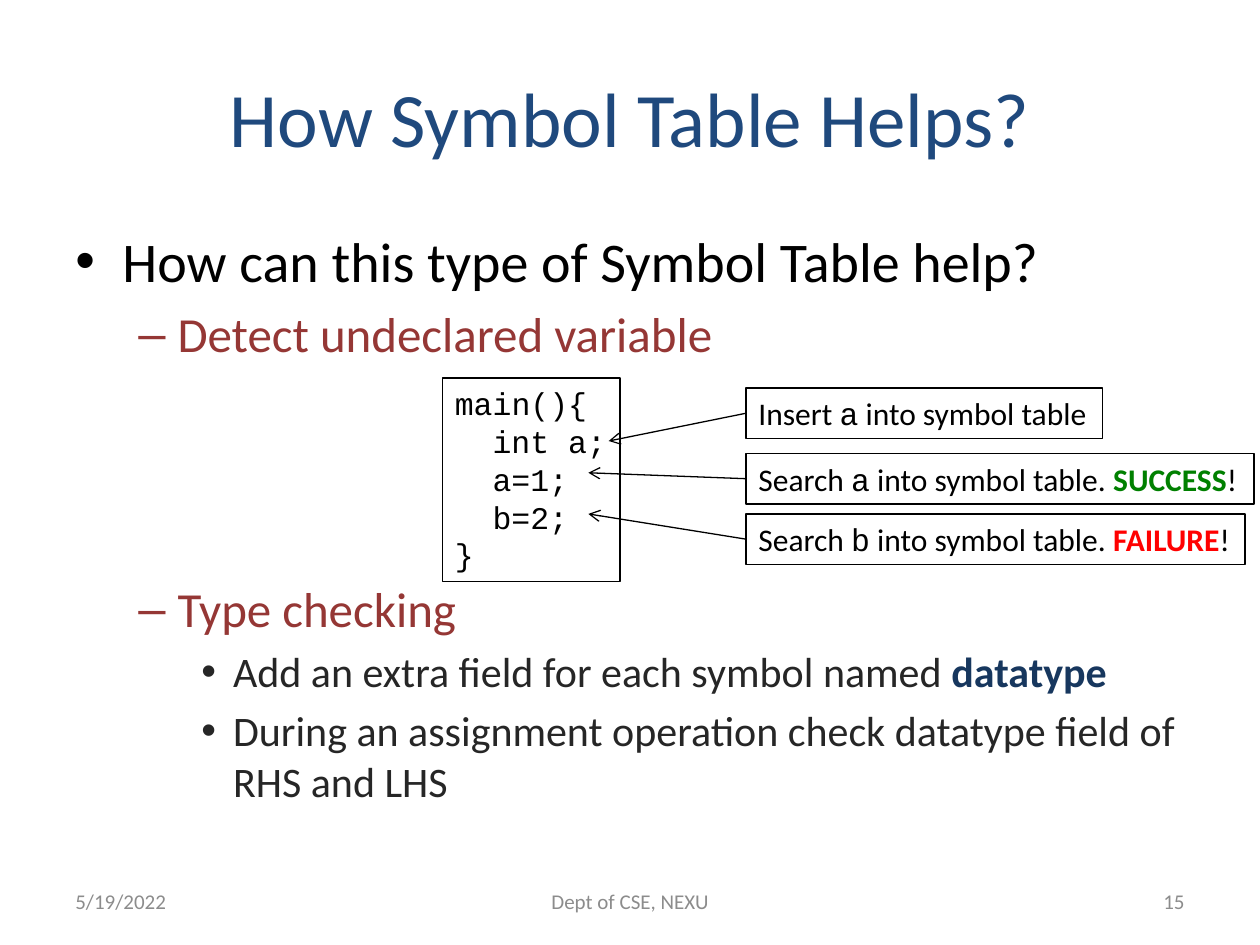
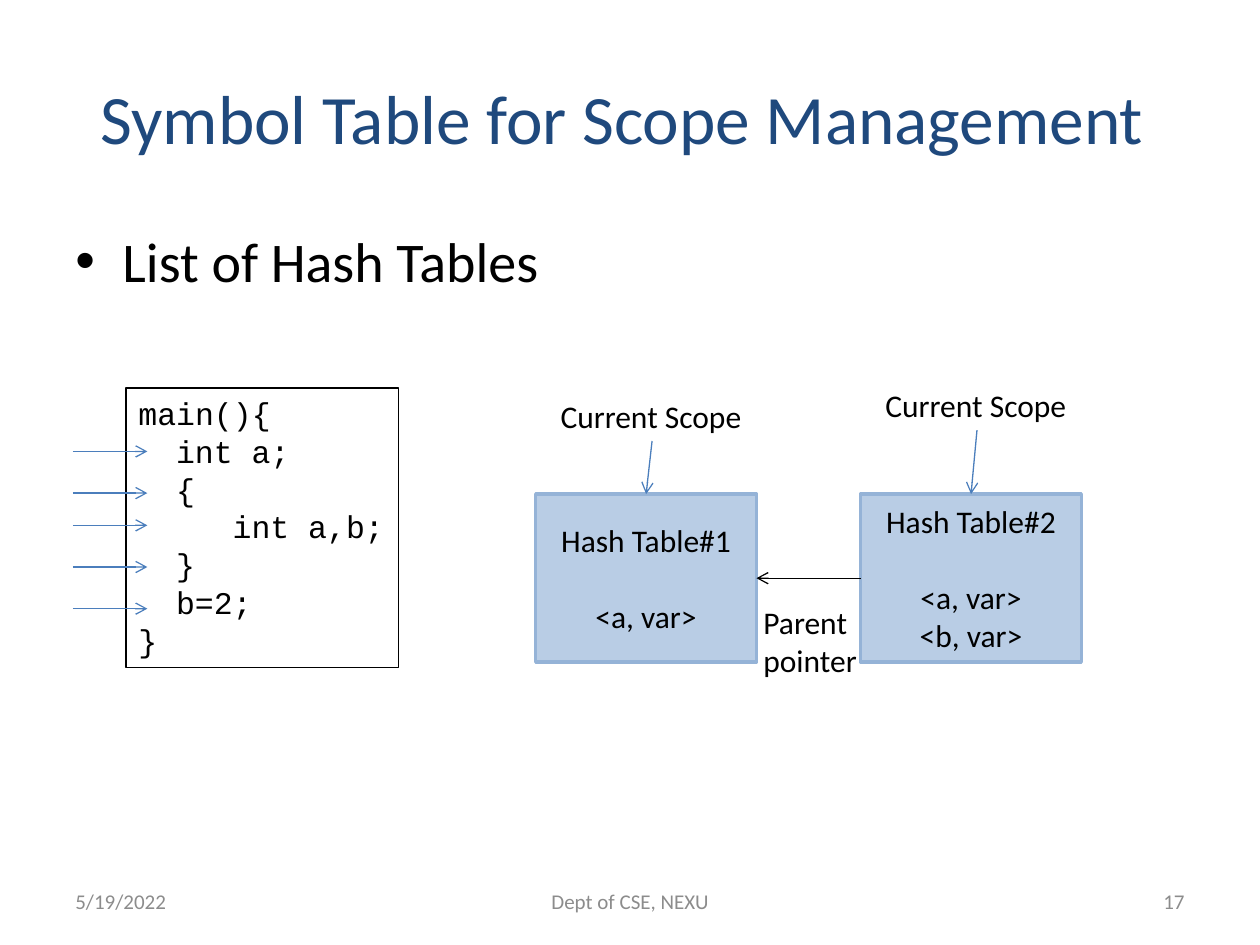
"""Builds two lecture slides on symbol tables and scope management."""
from dataclasses import dataclass, field

from lxml import etree
from pptx import Presentation
from pptx.dml.color import RGBColor
from pptx.enum.shapes import MSO_CONNECTOR, MSO_SHAPE
from pptx.enum.text import MSO_ANCHOR, PP_ALIGN
from pptx.oxml.ns import qn
from pptx.util import Cm, Pt

RECTANGLE = MSO_SHAPE.RECTANGLE
STRAIGHT = MSO_CONNECTOR.STRAIGHT
LEFT, CENTER, RIGHT = PP_ALIGN.LEFT, PP_ALIGN.CENTER, PP_ALIGN.RIGHT
TOP, MIDDLE = MSO_ANCHOR.TOP, MSO_ANCHOR.MIDDLE


def style(size, color, name="Calibri", bold=False):
    return {"size": Pt(size), "color": color, "name": name, "bold": bold}


@dataclass(frozen=True)
class Theme:
    black: str = "000000"
    arrow_blue: str = "4B7EBC"
    table_fill: str = "B9CDE5"
    table_line: str = "95B3D7"
    thin: float = 0.75
    thick: float = 2
    styles: dict = field(default_factory=lambda: {
        "title": style(44, "1F497D"),
        "long title": style(39.6, "1F497D"),
        "footer": style(12, "8C8C8C"),
        "point": style(32, "000000"),
        "subpoint": style(28, "953735"),
        "detail": style(24, "262626"),
        "keyword": style(24, "17375E", bold=True),
        "label": style(18, "000000"),
        "code": style(18, "000000", "Courier New"),
        "success": style(18, "008000", bold=True),
        "failure": style(18, "FF0000", bold=True),
    })


THEME = Theme()

BULLETS = {
    "point": {"bullet": "•", "margin": 0.95, "hanging": 0.95, "before": 6.4},
    "subpoint": {"bullet": "–", "margin": 2.06, "hanging": 0.79, "before": 5.5},
    "detail": {"bullet": "•", "margin": 3.18, "hanging": 0.64, "before": 4.8},
}
CODE_COLUMN = 0.38
LABEL_LINE = 22
DIAGRAM_GAP = 123.5

TITLE_BOX = (1.27, 0.76, 22.86, 3.18)
BODY_BOX = (1.27, 4.45, 22.86, 12.57)
FOOTER_TOP, FOOTER_HEIGHT = 17.65, 1.02
DATE, DEPARTMENT = "5/19/2022", "Dept of CSE, NEXU"

HELP_SLIDE = {
    "number": "15",
    "title": ("How Symbol Table Helps?", "title"),
    "body": [
        ("point", [("How can this type of Symbol Table help?", "point")], {}),
        ("subpoint", [("Detect undeclared variable", "subpoint")], {}),
        ("subpoint", [("Type checking", "subpoint")], {"before": DIAGRAM_GAP}),
        ("detail", [("Add an extra field for each symbol named ", "detail"),
                    ("datatype", "keyword")], {}),
        ("detail", [("During an assignment operation check datatype field of "
                     "RHS and LHS", "detail")], {}),
    ],
    "code box": (8.92, 7.62, 3.58, 4.11),
    "code": [(0, "main(){"), (2, "int a;"), (2, "a=1;"), (2, "b=2;"), (0, "}")],
}
CALLOUT_LEFT, CALLOUT_HEIGHT = 15.04, 1.02
CALLOUTS = [
    (7.82, 7.19, (12.27, 8.89),
     [("Insert ", "label"), ("a", "code"), (" into symbol table", "label")]),
    (9.14, 10.24, (11.86, 9.53),
     [("Search ", "label"), ("a", "code"), (" into symbol table. ", "label"),
      ("SUCCESS", "success"), ("!", "label")]),
    (10.36, 10.06, (11.86, 10.36),
     [("Search ", "label"), ("b", "code"), (" into symbol table. ", "label"),
      ("FAILURE", "failure"), ("!", "label")]),
]

SCOPE_SLIDE = {
    "number": "17",
    "title": ("Symbol Table for Scope Management ", "long title"),
    "body": [("point", [("List of Hash Tables", "point")], {})],
    "code box": (2.54, 7.82, 5.49, 5.64),
    "code": [(0, "main(){"), (2, "int a;"), (2, "{"), (5, "int a,b;"),
             (2, "}"), (2, "b=2;"), (0, "}")],
}
STEP_LEFT, STEP_RIGHT = 1.47, 2.97
STEP_HEIGHTS = [9.1, 9.94, 10.59, 11.43, 12.27]
TABLE_TOP, TABLE_WIDTH, TABLE_HEIGHT = 9.96, 4.45, 3.39
SCOPE_WIDTH, SCOPE_HEIGHT = 4.19, 1.02
HASH_TABLES = [
    (10.8, "Hash Table#1", ["<a, var>"], (11.05, 7.87)),
    (17.35, "Hash Table#2", ["<a, var>", "<b, var>"], (17.6, 7.65)),
]
PARENT_BOX = (15.14, 12.04, 2.41, 2.57)
PARENT_WORDS = ["Parent", "pointer"]


def line_of(text, style_name="label", **layout):
    return [(text, style_name)], layout


def set_attributes(target, values):
    for name, value in values.items():
        setattr(target, name, value)


def add_run(paragraph, text, style_name):
    run = paragraph.add_run()
    run.text = text
    values = dict(THEME.styles[style_name])
    run.font.color.rgb = RGBColor.from_string(values.pop("color"))
    set_attributes(run.font, values)


def lay_out(paragraph, margin=0, hanging=0, before=0, bullet=None):
    paragraph.space_before = Pt(before)
    properties = paragraph._p.get_or_add_pPr()
    properties.set("marL", str(Cm(margin)))
    properties.set("indent", str(-Cm(hanging)))
    if bullet:
        etree.SubElement(properties, qn("a:buFont")).set("typeface", "Arial")
        etree.SubElement(properties, qn("a:buChar")).set("char", bullet)


def write(shape, lines, align=LEFT, anchor=TOP, wrap=True):
    frame = shape.text_frame
    set_attributes(frame, {"word_wrap": wrap, "vertical_anchor": anchor})
    for index, (runs, layout) in enumerate(lines):
        paragraph = frame.add_paragraph() if index else frame.paragraphs[0]
        paragraph.alignment = align
        lay_out(paragraph, **layout)
        for text, style_name in runs:
            add_run(paragraph, text, style_name)


def add_text(slide, box, lines, **options):
    write(slide.shapes.add_textbox(*map(Cm, box)), lines, **options)


def add_box(slide, box, lines, fill=None, line=THEME.black, width=THEME.thin,
            **options):
    shape = slide.shapes.add_shape(RECTANGLE, *map(Cm, box))
    shape.shadow.inherit = False
    if fill:
        shape.fill.solid()
        shape.fill.fore_color.rgb = RGBColor.from_string(fill)
    else:
        shape.fill.background()
    shape.line.color.rgb = RGBColor.from_string(line)
    shape.line.width = Pt(width)
    write(shape, lines, **options)


def add_arrow(slide, start, end, color=THEME.black):
    connector = slide.shapes.add_connector(STRAIGHT, *map(Cm, (*start, *end)))
    connector.line.color.rgb = RGBColor.from_string(color)
    connector.line.width = Pt(THEME.thin)
    properties = connector._element.spPr
    outline = properties.find(qn("a:ln"))
    etree.SubElement(outline, qn("a:tailEnd")).set("type", "arrow")
    etree.SubElement(properties, qn("a:effectLst"))


def add_base_slide(presentation, content):
    slide = presentation.slides.add_slide(presentation.slide_layouts[6])
    add_text(slide, TITLE_BOX, [line_of(*content["title"])],
             align=CENTER, anchor=MIDDLE)
    footers = [(1.27, 5.93, DATE, LEFT),
               (8.68, 8.05, DEPARTMENT, CENTER),
               (18.2, 5.93, content["number"], RIGHT)]
    for left, width, text, align in footers:
        add_text(slide, (left, FOOTER_TOP, width, FOOTER_HEIGHT),
                 [line_of(text, "footer")], align=align, anchor=MIDDLE)
    add_text(slide, BODY_BOX, [(runs, {**BULLETS[level], **changes})
                               for level, runs, changes in content["body"]])
    add_box(slide, content["code box"],
            [line_of(text, "code", margin=columns * CODE_COLUMN)
             for columns, text in content["code"]], wrap=False)
    return slide


def add_help_slide(presentation):
    slide = add_base_slide(presentation, HELP_SLIDE)
    for top, width, target, runs in CALLOUTS:
        add_box(slide, (CALLOUT_LEFT, top, width, CALLOUT_HEIGHT),
                [(runs, {})], wrap=False)
        add_arrow(slide, (CALLOUT_LEFT, top + CALLOUT_HEIGHT / 2), target)


def add_scope_slide(presentation):
    slide = add_base_slide(presentation, SCOPE_SLIDE)
    for height in STEP_HEIGHTS:
        add_arrow(slide, (STEP_LEFT, height), (STEP_RIGHT, height),
                  THEME.arrow_blue)
    for left, name, entries, (scope_left, scope_top) in HASH_TABLES:
        lines = [line_of(name)]
        lines += [line_of(entry, before=0 if index else LABEL_LINE)
                  for index, entry in enumerate(entries)]
        add_box(slide, (left, TABLE_TOP, TABLE_WIDTH, TABLE_HEIGHT), lines,
                fill=THEME.table_fill, line=THEME.table_line,
                width=THEME.thick, align=CENTER, anchor=MIDDLE)
        add_text(slide, (scope_left, scope_top, SCOPE_WIDTH, SCOPE_HEIGHT),
                 [line_of("Current Scope")], wrap=False)
        add_arrow(slide,
                  (scope_left + SCOPE_WIDTH / 2, scope_top + SCOPE_HEIGHT),
                  (left + TABLE_WIDTH / 2, TABLE_TOP), THEME.arrow_blue)
    parent_left, child_left = (table[0] for table in HASH_TABLES)
    middle = TABLE_TOP + TABLE_HEIGHT / 2
    add_arrow(slide, (child_left, middle), (parent_left + TABLE_WIDTH, middle))
    add_text(slide, PARENT_BOX, [line_of(word) for word in PARENT_WORDS],
             wrap=False)


def main():
    presentation = Presentation()
    set_attributes(presentation,
                   {"slide_width": Cm(25.4), "slide_height": Cm(19.05)})
    add_help_slide(presentation)
    add_scope_slide(presentation)
    presentation.save("out.pptx")


if __name__ == "__main__":
    main()
